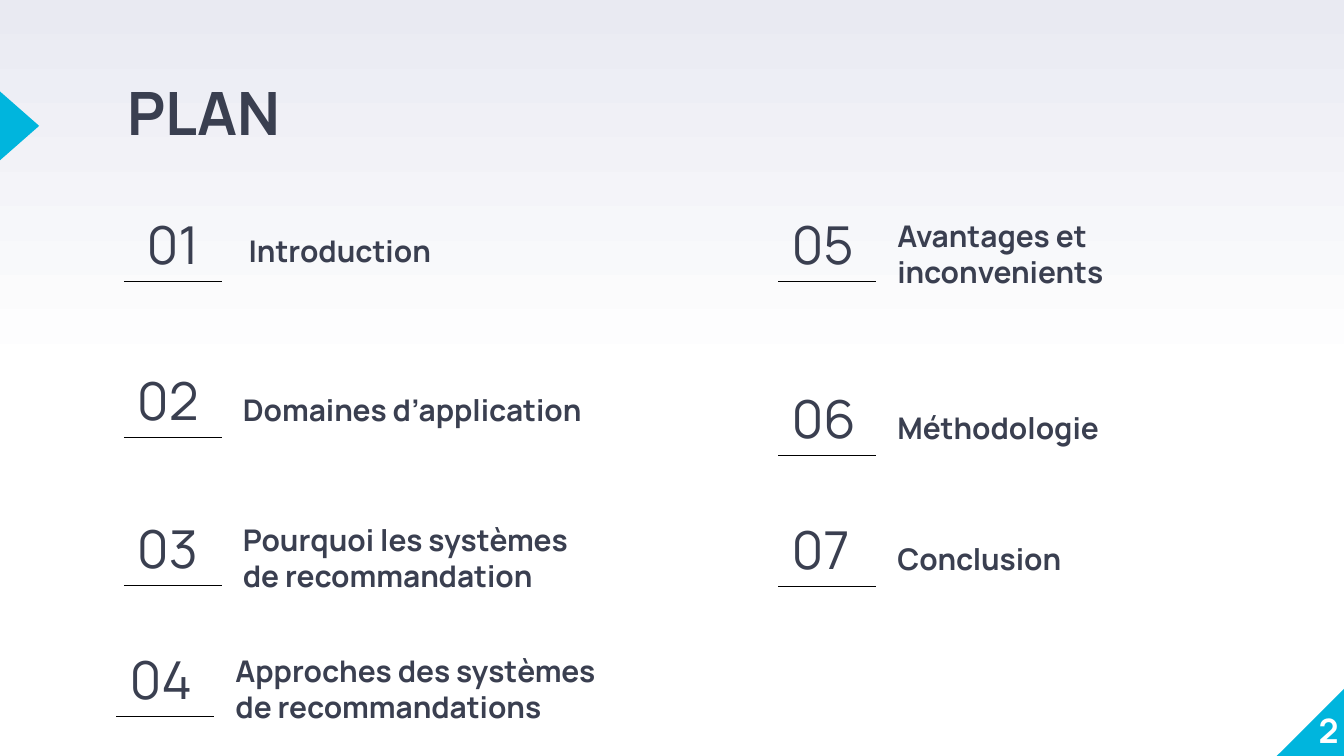
from pptx import Presentation
from pptx.dml.color import RGBColor
from pptx.enum.shapes import MSO_CONNECTOR, MSO_SHAPE
from pptx.enum.text import MSO_ANCHOR, PP_ALIGN
from pptx.oxml.ns import qn
from pptx.util import Cm, Pt

LEFT, CENTER, RIGHT = PP_ALIGN.LEFT, PP_ALIGN.CENTER, PP_ALIGN.RIGHT
TOP, MIDDLE, BOTTOM = MSO_ANCHOR.TOP, MSO_ANCHOR.MIDDLE, MSO_ANCHOR.BOTTOM
STRAIGHT = MSO_CONNECTOR.STRAIGHT
TRIANGLE, CORNER = MSO_SHAPE.ISOSCELES_TRIANGLE, MSO_SHAPE.RIGHT_TRIANGLE

COLORS = {"ink": "3A3F50", "accent": "00B5DD", "white": "FFFFFF",
          "haze": "E9EAF2", "rule": "000000"}
FONT = "Manrope"
INSET = 0.25
NUMBER_W, NUMBER_H = 1.85, 0.99
RULE_DROP = 1.21
ENTRY_H = 2.08
ENTRY_INSETS = (INSET, 0.69, INSET, 0)  # sets the wording low in its box


def rgb(name):
    return RGBColor.from_string(COLORS[name])


def write(frame, text, size=16, color="ink", bold=False, align=LEFT, spacing=None):
    paragraph = frame.paragraphs[0]
    paragraph.alignment = align
    paragraph.line_spacing = spacing
    run = paragraph.add_run()
    run.text = text
    run.font.name = FONT
    run.font.size = Pt(size)
    run.font.bold = bold
    run.font.color.rgb = rgb(color)


class PlanSlide:
    def __init__(self, slide):
        self.slide = slide

    def background(self):
        fill = self.slide.background.fill
        fill.gradient()
        fill.gradient_angle = 90
        for stop, position, color in zip(fill.gradient_stops, (0.5, 1), ("white", "haze")):
            stop.position = position
            stop.color.rgb = rgb(color)

    def marker(self, preset, x, y, w, h, rotation):
        marker = self.slide.shapes.add_shape(preset, Cm(x), Cm(y), Cm(w), Cm(h))
        marker.rotation = rotation
        marker.shadow.inherit = False
        marker.fill.solid()
        marker.fill.fore_color.rgb = rgb("accent")
        marker.line.fill.background()

    def text(self, text, x, y, w, h, anchor=MIDDLE, insets=(INSET,) * 4, parent=None, **style):
        box = (parent or self.slide).shapes.add_textbox(Cm(x), Cm(y), Cm(w), Cm(h))
        frame = box.text_frame
        frame.word_wrap = True
        frame.vertical_anchor = anchor
        (frame.margin_left, frame.margin_top,
         frame.margin_right, frame.margin_bottom) = map(Cm, insets)
        write(frame, text, **style)

    def rule(self, x, y, w, parent):
        rule = parent.shapes.add_connector(STRAIGHT, Cm(x), Cm(y), Cm(x + w), Cm(y))
        rule.line.color.rgb = rgb("rule")
        rule.line.width = Pt(0.75)
        properties = rule._element.spPr
        properties.append(properties.makeelement(qn("a:effectLst"), {}))

    def number(self, number, x, y, align=LEFT):
        """Section number above its rule, kept together as a group."""
        group = self.slide.shapes.add_group_shape()
        self.text(number, x, y, NUMBER_W, NUMBER_H, parent=group, size=28, align=align)
        self.rule(x, y + RULE_DROP, NUMBER_W, group)

    def section(self, number, topic, x, y, width):
        self.number(number, x, y)
        self.text(topic, x + 2, y - 0.7, width, ENTRY_H, insets=ENTRY_INSETS, bold=True)


def main():
    prs = Presentation()
    prs.slide_width, prs.slide_height = Cm(25.4), Cm(14.29)
    plan = PlanSlide(prs.slides.add_slide(prs.slide_layouts[6]))

    # Background and accent markers
    plan.background()
    plan.marker(CORNER, 24.13, 12.99, 1.3, 1.3, 270)
    plan.marker(TRIANGLE, -0.28, 2.01, 1.3, 0.74, 90)

    # Page number and title
    plan.text("2", 24.03, 12.88, 1.27, 1.3, anchor=BOTTOM, insets=(0,) * 4,
              size=18, color="white", bold=True, align=RIGHT)
    plan.text("PLAN", 2.16, 1.45, 21.41, 1.6, anchor=TOP, size=32, bold=True, spacing=0.8)

    # The opening section has a centred number and a one-line box
    plan.number("01", 2.34, 4.11, align=CENTER)
    plan.text("Introduction", 4.45, 4.24, 7.34, 0.99, bold=True)

    # Remaining sections: number, topic, left, top, topic width
    sections = [
        ("02", "Domaines d’application", 2.34, 7.06, 8),
        ("03", "Pourquoi les systèmes de recommandation", 2.34, 9.86, 7.34),
        ("04", "Approches des systèmes de recommandations", 2.2, 12.33, 8),
        ("05", "Avantages et inconvenients", 14.71, 4.11, 7.34),
        ("06", "Méthodologie", 14.71, 7.4, 7.34),
        ("07", "Conclusion", 14.71, 9.88, 7.34),
    ]
    for section in sections:
        plan.section(*section)

    prs.save("out.pptx")


if __name__ == "__main__":
    main()
